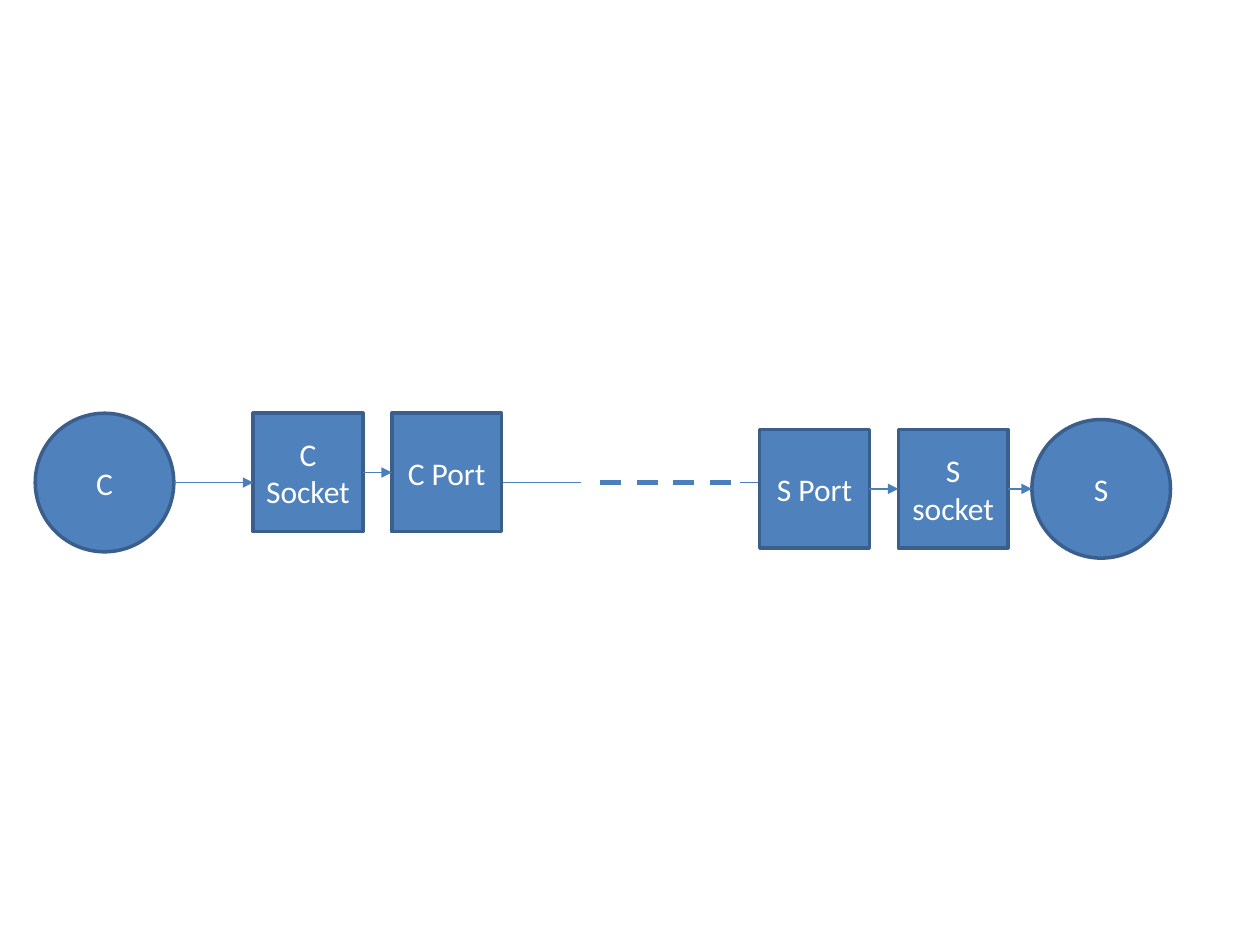
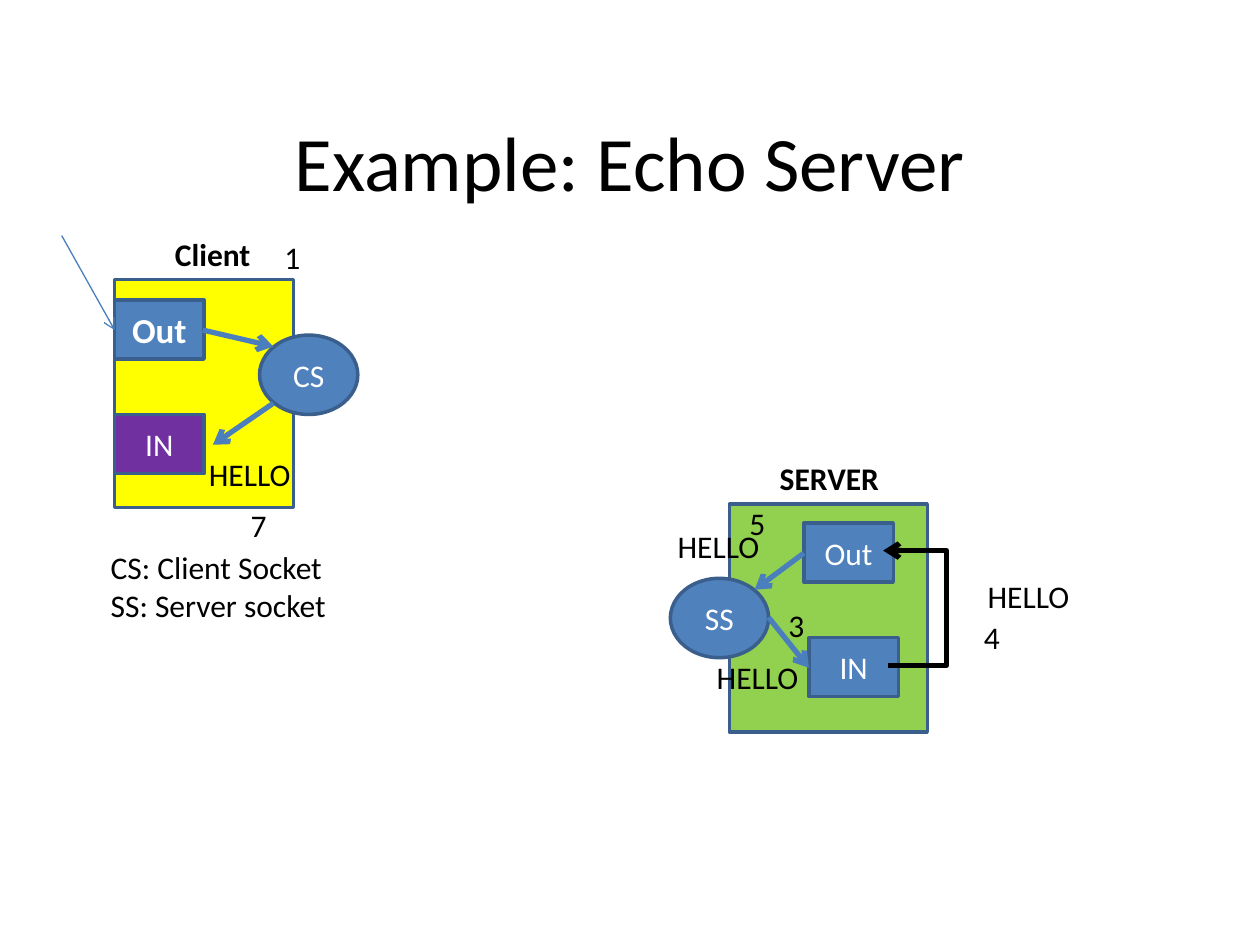
from lxml.etree import SubElement
from pptx import Presentation
from pptx.dml.color import RGBColor
from pptx.enum.dml import MSO_LINE
from pptx.enum.shapes import MSO_CONNECTOR, MSO_SHAPE
from pptx.enum.text import MSO_ANCHOR, MSO_AUTO_SIZE, PP_ALIGN
from pptx.oxml.ns import qn
from pptx.util import Inches, Pt

BLUE = RGBColor(0x4F, 0x81, 0xBD)
OUTLINE = RGBColor(0x3A, 0x5F, 0x8C)
LINK = RGBColor(0x4B, 0x7E, 0xBC)
YELLOW = RGBColor(0xFF, 0xFF, 0x00)
GREEN = RGBColor(0x92, 0xD0, 0x50)
PURPLE = RGBColor(0x70, 0x30, 0xA0)
BLACK = RGBColor(0x00, 0x00, 0x00)
WHITE = RGBColor(0xFF, 0xFF, 0xFF)
FONT = "Calibri"

# The grid has 100 columns and 75 rows of square cells.
COLUMNS, ROWS = 100, 75
CELL = Inches(0.1)
TITLE_ONLY, BLANK = 5, 6

CIRCLE = (11, 11)
NODE = (8.7, 9.4)
SOCKET = (7.8, 6.3)
STREAM = (7.1, 4.7)
LABEL_ROWS = 4


def cells(*counts):
    """Turn counts of grid cells into lengths."""
    return [round(count * CELL) for count in counts]


def add_run(paragraph, text, color, points=18, bold=False):
    """Add one formatted run to a paragraph."""
    run = paragraph.add_run()
    run.text = text
    run.font.name = FONT
    run.font.size = Pt(points)
    run.font.bold = bold
    run.font.color.rgb = color


def add_title(slide, text):
    """Place and format the title placeholder."""
    title = slide.shapes.title
    title.left, title.top, title.width, title.height = cells(5, 6.5, 90, 12.5)
    frame = title.text_frame
    frame.vertical_anchor = MSO_ANCHOR.MIDDLE
    paragraph = frame.paragraphs[0]
    paragraph.alignment = PP_ALIGN.CENTER
    add_run(paragraph, text, BLACK, points=44)


def add_node(slide, kind, position, size, text="", fill=BLUE, **font):
    """Add an outlined shape with an optional centred caption."""
    shape = slide.shapes.add_shape(kind, *cells(*position, *size))
    shape.shadow.inherit = False
    shape.fill.solid()
    shape.fill.fore_color.rgb = fill
    shape.line.color.rgb = OUTLINE
    shape.line.width = Pt(2)
    if text:
        frame = shape.text_frame
        frame.word_wrap = True
        frame.vertical_anchor = MSO_ANCHOR.MIDDLE
        paragraph = frame.paragraphs[0]
        paragraph.alignment = PP_ALIGN.CENTER
        add_run(paragraph, text, WHITE, **font)


def add_label(slide, position, width, *lines, bold=False):
    """Add a plain text box with one paragraph for each line."""
    height = LABEL_ROWS + 3.1 * (len(lines) - 1)
    box = slide.shapes.add_textbox(*cells(*position, width, height))
    frame = box.text_frame
    frame.word_wrap = False
    frame.auto_size = MSO_AUTO_SIZE.SHAPE_TO_FIT_TEXT
    for index, line in enumerate(lines):
        paragraph = frame.add_paragraph() if index else frame.paragraphs[0]
        add_run(paragraph, line, BLACK, bold=bold)


def add_link(slide, start, end, width=0.75, head=None, color=LINK,
             kind=MSO_CONNECTOR.STRAIGHT):
    """Add a connector, with an arrowhead at its end if one is named."""
    link = slide.shapes.add_connector(kind, *cells(*start, *end))
    link.line.color.rgb = color
    link.line.width = Pt(width)
    properties = link._element.spPr
    if head:
        SubElement(properties.find(qn("a:ln")), qn("a:tailEnd"), type=head)
    SubElement(properties, qn("a:effectLst"))
    return link


def add_return_link(slide, start, end, bend_column):
    """Add a bent arrow whose upright part stands in the given column."""
    link = add_link(slide, start, end, 3, "arrow", BLACK, MSO_CONNECTOR.ELBOW)
    share = (bend_column - start[0]) / (end[0] - start[0])
    guides = link._element.spPr.find(qn("a:prstGeom")).get_or_add_avLst()
    SubElement(guides, qn("a:gd"), name="adj1",
               fmla=f"val {round(share * 100000)}")


def build_connection_slide(presentation):
    """Show the chain from the client to the server."""
    slide = presentation.slides.add_slide(presentation.slide_layouts[BLANK])
    for text, position in (("C", (2.8, 32.8)), ("S", (81.9, 33.3))):
        add_node(slide, MSO_SHAPE.OVAL, position, CIRCLE, text)

    # Plain links lie behind the boxes.
    wire = 38.3
    add_link(slide, (39.8, wire), (46.1, wire))
    dashed = add_link(slide, (47.6, wire), (58.7, wire), 3)
    dashed.line.dash_style = MSO_LINE.DASH
    add_link(slide, (58.7, wire), (63.4, wire))

    for text, column, row in (("C Socket", 20.1, 32.8), ("C Port", 31.1, 32.8),
                              ("S Port", 60.3, 34.1), ("S socket", 71.3, 34.1)):
        add_node(slide, MSO_SHAPE.RECTANGLE, (column, row), NODE, text)

    for left, right, row in ((13.8, 20.1, wire), (28.8, 31.1, 37.5),
                             (69, 71.3, 38.8), (80, 81.9, 38.8)):
        add_link(slide, (left, row), (right, row), head="triangle")


def build_echo_slide(presentation):
    """Show a message going through the echo server and back."""
    slide = presentation.slides.add_slide(presentation.slide_layouts[TITLE_ONLY])
    add_title(slide, "Example: Echo Server")

    box, oval = MSO_SHAPE.RECTANGLE, MSO_SHAPE.OVAL
    add_node(slide, box, (9.1, 22.2), (14.2, 18.1), fill=YELLOW)
    add_node(slide, box, (57.9, 40), (15.7, 18.1), fill=GREEN)
    add_label(slide, (12.9, 18.2), 8, "Client", bold=True)
    add_label(slide, (60.9, 35.9), 10, "SERVER", bold=True)

    add_node(slide, oval, (20.6, 26.6), SOCKET, "CS")
    add_node(slide, oval, (53.2, 45.9), SOCKET, "SS")
    add_node(slide, box, (9.1, 23.8), STREAM, "Out", points=20, bold=True)
    add_node(slide, box, (9.1, 32.9), STREAM, "IN", fill=PURPLE)
    add_node(slide, box, (64.2, 50.6), STREAM, "IN")
    add_node(slide, box, (63.8, 41.5), STREAM, "Out")

    for start, end in (((16.1, 26.2), (21.7, 27.5)), ((21.7, 32), (16.9, 35.3)),
                       ((61, 49), (64.2, 53)), ((63.8, 43.9), (59.9, 46.8))):
        add_link(slide, start, end, 3, "arrow")
    add_return_link(slide, (70.5, 52.8), (70.1, 43.7), 75.1)
    add_link(slide, (4.9, 18.7), (9.1, 26.2), head="arrow")

    for position in ((55.9, 51.7), (77.4, 45.3), (52.8, 41.3), (15.6, 35.6)):
        add_label(slide, position, 8.6, "HELLO")
    for step, position in (("1", (21.6, 18.4)), ("3", (61.6, 47.6)),
                           ("4", (77.1, 48.6)), ("5", (58.5, 39.5)),
                           ("7", (18.9, 39.7))):
        add_label(slide, position, 3.3, step)
    add_label(slide, (7.8, 43), 19.3, "CS: Client Socket", "SS: Server socket")


def main():
    """Build and save the presentation."""
    presentation = Presentation()
    presentation.slide_width, presentation.slide_height = cells(COLUMNS, ROWS)
    build_connection_slide(presentation)
    build_echo_slide(presentation)
    presentation.save("out.pptx")


main()
